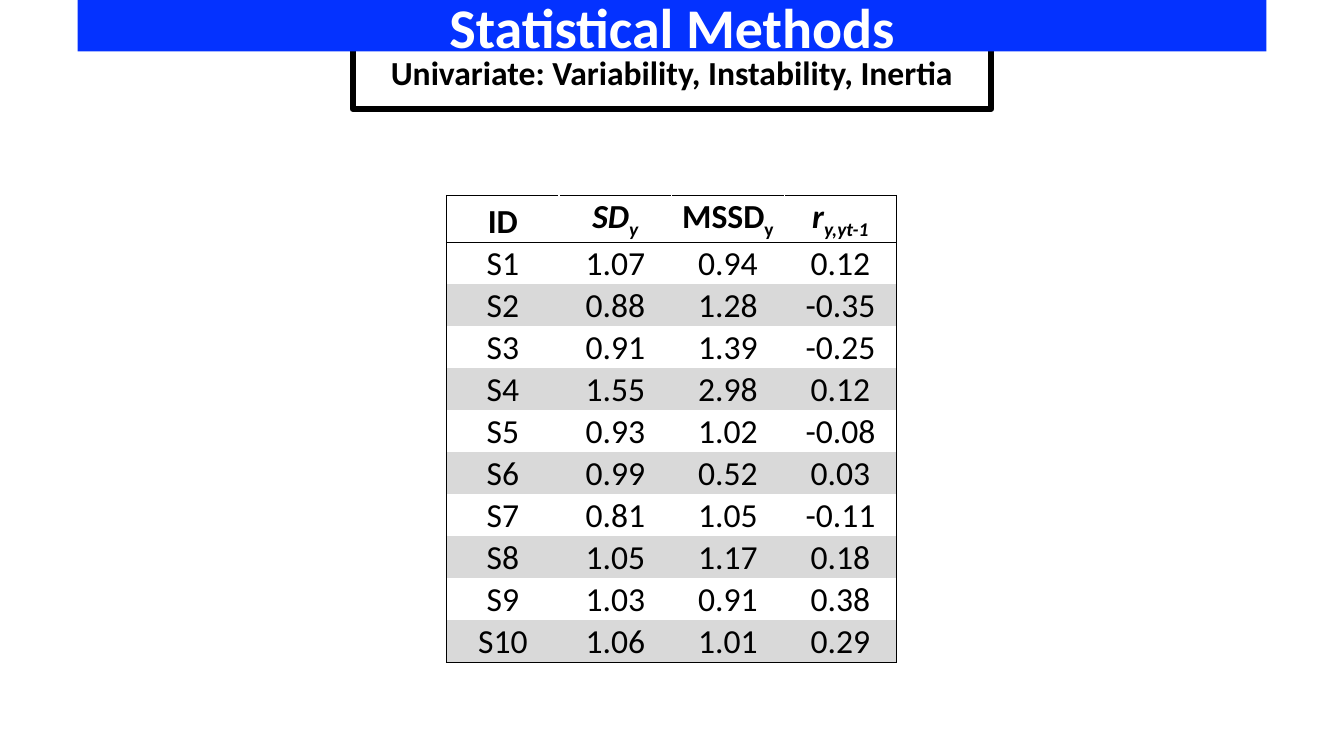
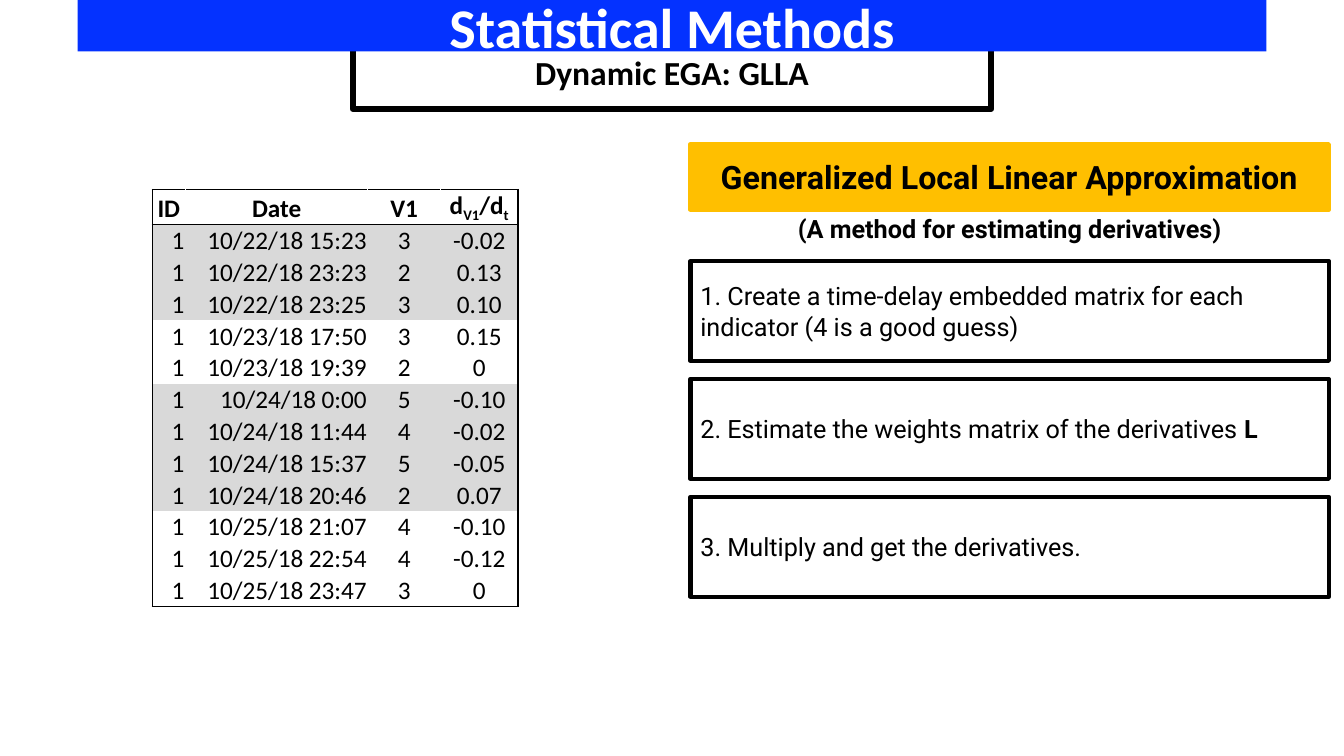
from dataclasses import dataclass, field
from typing import NamedTuple

from lxml.etree import SubElement as Sub
from pptx import Presentation
from pptx.dml.color import RGBColor as Rgb
from pptx.enum.shapes import MSO_SHAPE as Shape
from pptx.enum.text import MSO_ANCHOR as Anchor, PP_ALIGN as Align
from pptx.oxml.ns import qn
from pptx.util import Inches, Pt

WIDE, HIGH = Inches(13.333), Inches(7.5)
COLS, ROWS = 80, 45
PLAIN = "{2D5ABB26-0587-4C30-8999-92F81FD0307C}"
LEFT, MID, RIGHT = Align.LEFT, Align.CENTER, Align.RIGHT


@dataclass(frozen=True)
class Theme:
    ink: str = "000000"
    paper: str = "FFFFFF"
    band: str = "0432FF"
    gold: str = "FFBF00"
    shade: str = "D9D9D9"
    main: str = "Calibri"
    side: str = "Roboto"
    title: int = 40
    head: int = 24
    label: int = 23
    body: int = 18
    thick: float = 4.5
    line: float = 3
    thin: float = 1


T = Theme()


class Run(NamedTuple):
    text: str
    bold: bool = False
    slant: bool = False
    sub: bool = False


class Area(NamedTuple):
    col: float
    row: float
    wide: float
    high: float


Runs = tuple[Run, ...]


@dataclass(frozen=True)
class Box:
    area: Area
    runs: Runs
    size: int
    face: str = T.main
    ink: str = T.ink
    align: Align = MID
    fill: str | None = None
    edge: str | None = None
    weight: float = T.line


@dataclass(frozen=True)
class Grid:
    area: Area
    cols: tuple[float, ...]
    head: tuple[Runs, ...]
    data: tuple[tuple[str, ...], ...]
    size: int
    align: tuple[Align, ...]
    dark: set[int] = field(default_factory=set)
    base: str | None = None


def across(cols: float) -> int:
    return round(WIDE * cols / COLS)


def down(rows: float) -> int:
    return round(HIGH * rows / ROWS)


def place(area: Area) -> tuple[int, int, int, int]:
    return across(area.col), down(area.row), across(area.wide), down(area.high)


def paint(fill, tint: str | None) -> None:
    if tint:
        fill.solid()
        fill.fore_color.rgb = Rgb.from_string(tint)
    else:
        fill.background()


def write(frame, runs: Runs, size: int, face: str, ink: str, align: Align) -> None:
    para = frame.paragraphs[0]
    para.alignment = align
    for part in runs:
        run = para.add_run()
        run.text = part.text
        form = {"name": face, "size": Pt(size), "bold": part.bold, "italic": part.slant}
        for key, value in form.items():
            setattr(run.font, key, value)
        run.font.color.rgb = Rgb.from_string(ink)
        if part.sub:
            run._r.get_or_add_rPr().set("baseline", "-25000")


def draw_box(slide, box: Box) -> None:
    if box.fill or box.edge:
        shape = slide.shapes.add_shape(Shape.RECTANGLE, *place(box.area))
        shape.shadow.inherit = False
        paint(shape.fill, box.fill)
        paint(shape.line.fill, box.edge)
        if box.edge:
            shape.line.width = Pt(box.weight)
    else:
        shape = slide.shapes.add_textbox(*place(box.area))
    frame = shape.text_frame
    frame.word_wrap = True
    frame.vertical_anchor = Anchor.MIDDLE
    write(frame, box.runs, box.size, box.face, box.ink, box.align)


def rule(cell, sides: dict[str, str | None]) -> None:
    props = cell._tc.get_or_add_tcPr()
    for side, tint in sides.items():
        line = Sub(props, qn(f"a:ln{side}"), w=str(Pt(T.thin) if tint else 0))
        if tint:
            Sub(Sub(line, qn("a:solidFill")), qn("a:srgbClr"), val=tint)
        else:
            Sub(line, qn("a:noFill"))


def draw_grid(slide, grid: Grid) -> None:
    last, end = len(grid.data), len(grid.cols) - 1
    table = slide.shapes.add_table(last + 1, end + 1, *place(grid.area)).table
    table.first_row = table.horz_banding = False
    table._tbl.tblPr.find(qn("a:tableStyleId")).text = PLAIN
    for col, wide in zip(table.columns, grid.cols):
        col.width = across(wide)
    body = tuple(tuple((Run(text),) for text in line) for line in grid.data)
    form = {
        "margin_left": Inches(0.01), "margin_right": Inches(0.01),
        "margin_top": Inches(0.01), "margin_bottom": 0,
        "vertical_anchor": Anchor.BOTTOM,
    }
    for r, line in enumerate((grid.head, *body)):
        inner = None if r else T.paper
        for c, runs in enumerate(line):
            cell = table.cell(r, c)
            for key, value in form.items():
                setattr(cell, key, value)
            rule(cell, {
                "L": T.ink if c == 0 else inner,
                "R": T.ink if c == end else inner,
                "T": T.ink if r < 2 else None,
                "B": T.ink if r in (0, last) else None,
            })
            paint(cell.fill, T.shade if r in grid.dark else grid.base)
            write(cell.text_frame, runs, grid.size, T.main, T.ink,
                  grid.align[c] if r else MID)


def start(deck, topic: str):
    slide = deck.slides.add_slide(deck.slide_layouts[6])
    draw_box(slide, Box(Area(21, 2.04, 38, 4.44), (Run(topic, True),), T.head,
                        fill=T.paper, edge=T.ink, weight=T.thick))
    draw_box(slide, Box(Area(4.62, 0, 70.76, 3.06), (Run("Statistical Methods", True),),
                        T.title, ink=T.paper, fill=T.band))
    return slide


SCORES = Grid(
    Area(26.58, 11.64, 26.8, 27.06), (6.7,) * 4,
    (
        (Run("ID", True),),
        (Run("SD", True, True), Run("y", True, True, True)),
        (Run("MSSD", True), Run("y", True, sub=True)),
        (Run("r", True, True), Run("y,yt-1", True, True, True)),
    ),
    (
        ("S1", "1.07", "0.94", "0.12"),
        ("S2", "0.88", "1.28", "-0.35"),
        ("S3", "0.91", "1.39", "-0.25"),
        ("S4", "1.55", "2.98", "0.12"),
        ("S5", "0.93", "1.02", "-0.08"),
        ("S6", "0.99", "0.52", "0.03"),
        ("S7", "0.81", "1.05", "-0.11"),
        ("S8", "1.05", "1.17", "0.18"),
        ("S9", "1.03", "0.91", "0.38"),
        ("S10", "1.06", "1.01", "0.29"),
    ),
    T.head, (MID,) * 4, set(range(2, 11, 2)), T.paper,
)

SERIES = Grid(
    Area(9.06, 11.28, 21.78, 24.24), (1.98, 10.86, 4.32, 4.62),
    (
        (Run("ID", True),),
        (Run("Date", True),),
        (Run("V1", True),),
        (Run("d", True), Run("V1", True, sub=True),
         Run("/d", True), Run("t", True, sub=True)),
    ),
    (
        ("1", "10/22/18 15:23", "3", "-0.02"),
        ("1", "10/22/18 23:23", "2", "0.13"),
        ("1", "10/22/18 23:25", "3", "0.10"),
        ("1", "10/23/18 17:50", "3", "0.15"),
        ("1", "10/23/18 19:39", "2", "0"),
        ("1", "10/24/18 0:00", "5", "-0.10"),
        ("1", "10/24/18 11:44", "4", "-0.02"),
        ("1", "10/24/18 15:37", "5", "-0.05"),
        ("1", "10/24/18 20:46", "2", "0.07"),
        ("1", "10/25/18 21:07", "4", "-0.10"),
        ("1", "10/25/18 22:54", "4", "-0.12"),
        ("1", "10/25/18 23:47", "3", "0"),
    ),
    T.body, (RIGHT, RIGHT, MID, MID), {1, 2, 3, 6, 7, 8, 9},
)

STEPS: tuple[Runs, ...] = (
    (Run("1. Create a time-delay embedded matrix for each indicator (4 is a good guess)"),),
    (Run("2. Estimate the weights matrix of the derivatives "), Run("L", True)),
    (Run("3. Multiply and get the derivatives."),),
)


def draw_steps(slide) -> None:
    left, wide, top, pitch = 41.1, 38, 15.54, 7.02
    draw_box(slide, Box(Area(left, 8.58, wide, 3.9),
                        (Run("Generalized Local Linear Approximation", True),),
                        T.label, T.side, fill=T.gold, edge=T.gold))
    draw_box(slide, Box(Area(left, 11.64, wide, 3.9),
                        (Run("(A method for estimating derivatives)", True),),
                        T.body, T.side))
    for step, runs in enumerate(STEPS):
        draw_box(slide, Box(Area(left, top + step * pitch, wide, 5.94), runs,
                            T.body, T.side, align=LEFT, edge=T.ink))


def main() -> None:
    deck = Presentation()
    deck.slide_width, deck.slide_height = WIDE, HIGH
    draw_grid(start(deck, "Univariate: Variability, Instability, Inertia"), SCORES)
    slide = start(deck, "Dynamic EGA: GLLA")
    draw_grid(slide, SERIES)
    draw_steps(slide)
    deck.save("out.pptx")


if __name__ == "__main__":
    main()
